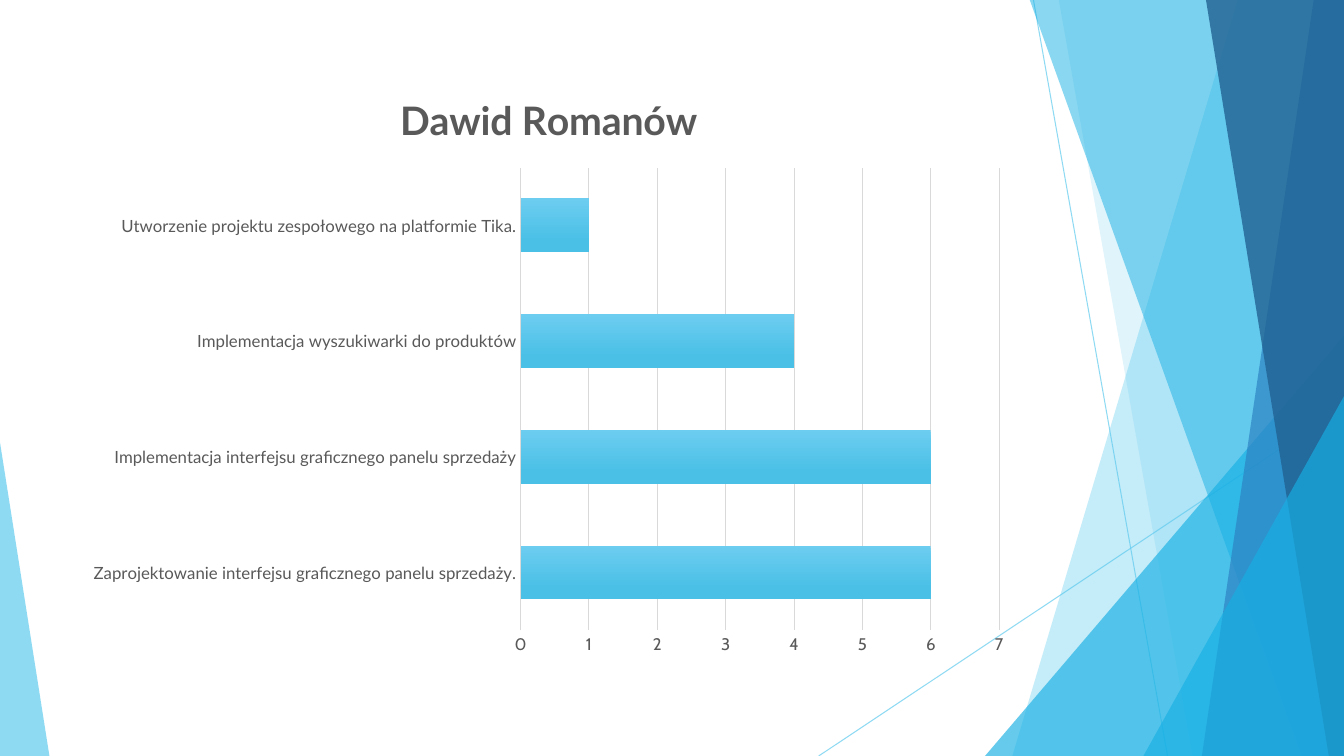
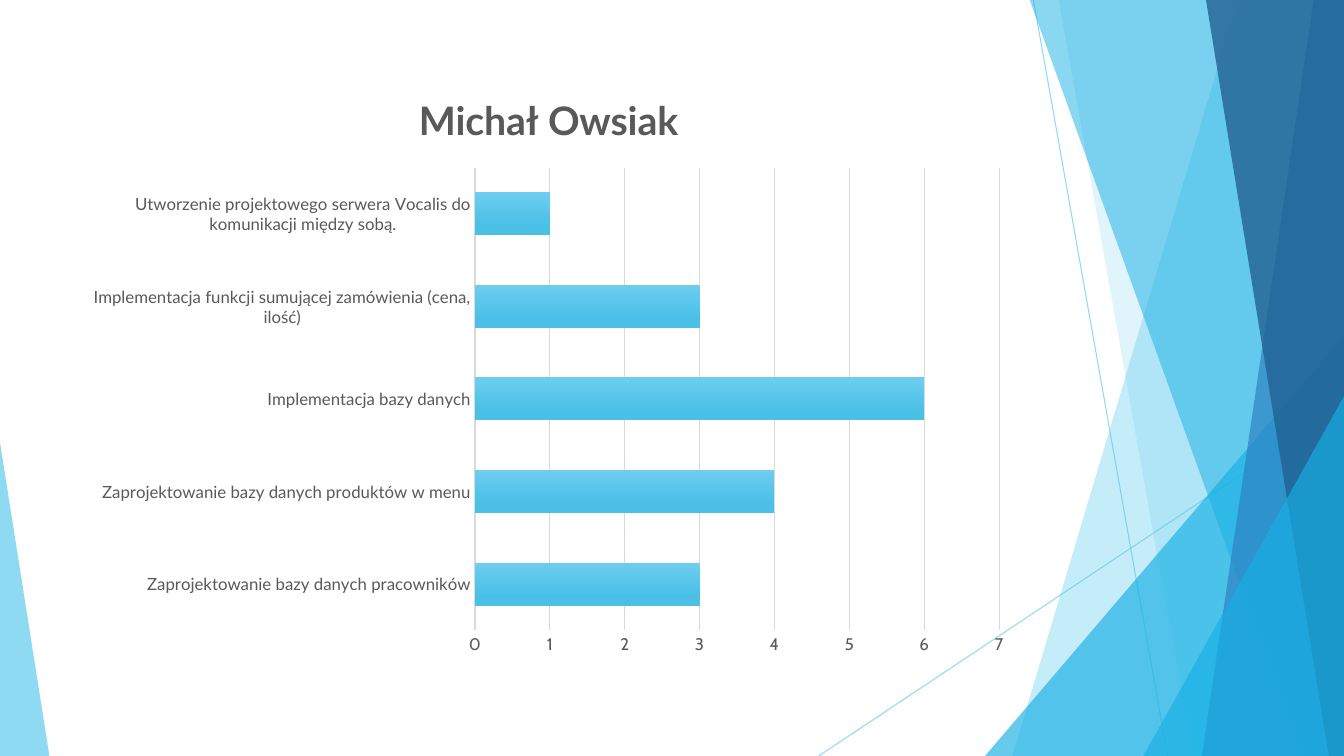
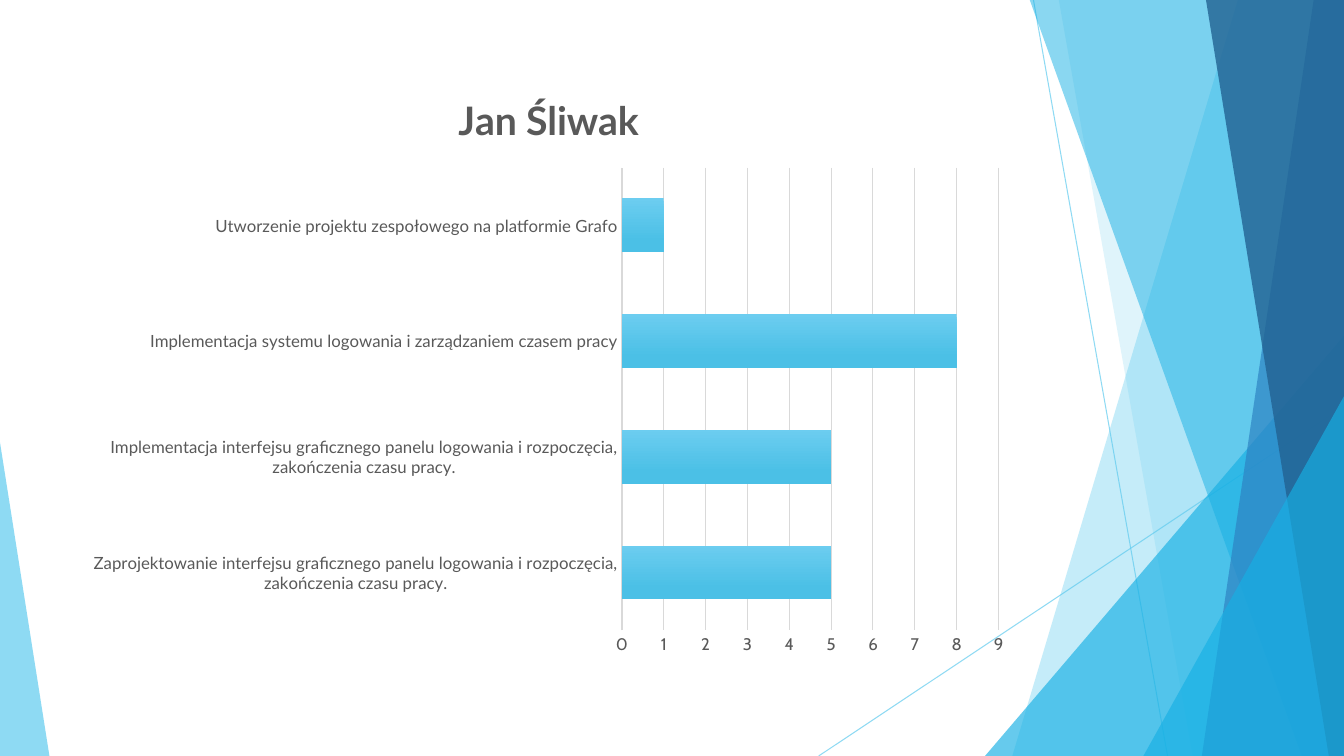
from dataclasses import dataclass

from pptx import Presentation
from pptx.chart.data import CategoryChartData
from pptx.dml.color import RGBColor
from pptx.enum.chart import XL_CHART_TYPE, XL_TICK_MARK
from pptx.enum.shapes import MSO_CONNECTOR, MSO_SHAPE
from pptx.oxml.ns import qn
from pptx.oxml.xmlchemy import OxmlElement
from pptx.util import Inches, Pt


@dataclass(frozen=True)
class Theme:
    width: float = 13.33
    height: float = 7.5
    sky: str = "5FCBEF"
    cyan: str = "17B0E4"
    blue: str = "2E83C3"
    navy: str = "226292"
    text: str = "595959"
    grid: str = "D9D9D9"
    bar_top: str = "6CCDF0"
    bar_bottom: str = "4BC0E6"
    heading_font: str = "Lato"
    number_font: str = "Cabin"
    heading_size: int = 28
    label_size: int = 12
    base_size: int = 10
    thin: float = 0.75


class Deck:
    def __init__(self, theme):
        self.theme = theme
        self.presentation = Presentation()
        self.presentation.slide_width = Inches(theme.width)
        self.presentation.slide_height = Inches(theme.height)
        self.layout = self.presentation.slide_layouts[6]
        self.slide = None

    def new_slide(self):
        self.slide = self.presentation.slides.add_slide(self.layout)

    def set_opacity(self, shape, percent):
        alpha = OxmlElement("a:alpha")
        alpha.set("val", str(percent * 1000))
        shape.element.spPr.find(".//" + qn("a:srgbClr")).append(alpha)

    def paint(self, shape, color, opacity):
        shape.shadow.inherit = False
        shape.fill.solid()
        shape.fill.fore_color.rgb = RGBColor.from_string(color)
        shape.line.fill.background()
        self.set_opacity(shape, opacity)

    def ray(self, x1, y1, x2, y2):
        ray = self.slide.shapes.add_connector(
            MSO_CONNECTOR.STRAIGHT, Inches(x1), Inches(y1), Inches(x2), Inches(y2))
        ray.line.color.rgb = RGBColor.from_string(self.theme.sky)
        ray.line.width = Pt(self.theme.thin)
        self.set_opacity(ray, 70)
        ray.element.spPr.append(OxmlElement("a:effectLst"))

    def facet(self, top_x, bottom_x, color, opacity):
        right, bottom, top = self.theme.width, self.theme.height, -0.01
        corners = [(right, top), (right, bottom), (bottom_x, bottom)]
        outline = self.slide.shapes.build_freeform(Inches(top_x), Inches(top), scale=1.0)
        outline.add_line_segments([(Inches(x), Inches(y)) for x, y in corners], close=True)
        self.paint(outline.convert_to_shape(), color, opacity)

    def corner(self, left, top, width, apex, color, opacity):
        corner = self.slide.shapes.add_shape(
            MSO_SHAPE.ISOSCELES_TRIANGLE, Inches(left), Inches(top),
            Inches(width), Inches(self.theme.height - top))
        corner.adjustments[0] = apex
        self.paint(corner, color, opacity)

    def draw_backdrop(self):
        theme = self.theme
        self.ray(10.25, 0, 11.58, theme.height)
        self.ray(theme.width, 4.03, 8.12, theme.height)
        self.facet(12.28, 10.04, theme.sky, 36)
        self.facet(10.5, 11.83, theme.sky, 20)
        self.corner(9.77, 3.33, 3.56, 1, theme.cyan, 66)
        self.facet(10.21, 12.91, theme.cyan, 50)
        self.facet(13.03, 11.92, theme.blue, 70)
        self.facet(11.96, 13.18, theme.navy, 80)
        self.corner(11.34, 3.93, 1.99, 1, theme.cyan, 66)
        self.corner(0, 4.39, 0.49, 0, theme.sky, 70)

    def share_backdrop(self):
        for placeholder in list(self.layout.placeholders):
            self.layout.shapes.element.remove(placeholder.element)
        for shape in list(self.slide.shapes):
            self.layout.shapes.element.append(shape.element)

    def style_font(self, font, name, size, bold=False):
        font.name = name
        font.size = Pt(size)
        font.bold = bold
        font.color.rgb = RGBColor.from_string(self.theme.text)

    def style_axis(self, axis, font_name):
        axis.major_tick_mark = XL_TICK_MARK.NONE
        axis.minor_tick_mark = XL_TICK_MARK.NONE
        self.style_font(axis.tick_labels.font, font_name, self.theme.label_size)

    def style_line(self, line, width):
        line.color.rgb = RGBColor.from_string(self.theme.grid)
        line.width = Pt(width)

    def task_chart(self, person, tasks):
        theme = self.theme
        data = CategoryChartData()
        data.categories = list(tasks)
        data.add_series(person, list(tasks.values()))
        chart = self.slide.shapes.add_chart(
            XL_CHART_TYPE.BAR_CLUSTERED, Inches(0.74), Inches(0.67),
            Inches(9.4), Inches(5.94), data).chart
        chart.has_legend = False
        chart.font.name = theme.number_font
        chart.font.size = Pt(theme.base_size)

        heading = chart.chart_title.text_frame
        heading.text = person
        self.style_font(heading.paragraphs[0].runs[0].font,
                        theme.heading_font, theme.heading_size, bold=True)

        self.style_axis(chart.category_axis, theme.heading_font)
        self.style_line(chart.category_axis.format.line, 1)
        hours = chart.value_axis
        self.style_axis(hours, theme.number_font)
        hours.format.line.fill.background()
        hours.minimum_scale = 0
        hours.maximum_scale = max(tasks.values()) + 1
        hours.major_unit = 1
        self.style_line(hours.major_gridlines.format.line, theme.thin)

        bars = chart.plots[0]
        bars.vary_by_categories = False
        bars.gap_width = 115
        bars.overlap = -20
        fill = bars.series[0].format.fill
        fill.gradient()
        fill.gradient_angle = 270
        stops = zip(fill.gradient_stops, (0, 0.78), (theme.bar_top, theme.bar_bottom))
        for stop, position, color in stops:
            stop.position = position
            stop.color.rgb = RGBColor.from_string(color)


TEAM = {
    "Dawid Romanów": {
        "Zaprojektowanie interfejsu graficznego panelu sprzedaży.": 6,
        "Implementacja interfejsu graficznego panelu sprzedaży": 6,
        "Implementacja wyszukiwarki do produktów": 4,
        "Utworzenie projektu zespołowego na platformie Tika.": 1,
    },
    "Michał Owsiak": {
        "Zaprojektowanie bazy danych pracowników": 3,
        "Zaprojektowanie bazy danych produktów w menu": 4,
        "Implementacja bazy danych": 6,
        "Implementacja funkcji sumującej zamówienia (cena, ilość)": 3,
        "Utworzenie projektowego serwera Vocalis do komunikacji między sobą.": 1,
    },
    "Jan Śliwak": {
        "Zaprojektowanie interfejsu graficznego panelu logowania i rozpoczęcia, "
        "zakończenia czasu pracy.": 5,
        "Implementacja interfejsu graficznego panelu logowania i rozpoczęcia, "
        "zakończenia czasu pracy.": 5,
        "Implementacja systemu logowania i zarządzaniem czasem pracy": 8,
        "Utworzenie projektu zespołowego na platformie Grafo": 1,
    },
}


def main():
    deck = Deck(Theme())
    for number, (person, tasks) in enumerate(TEAM.items()):
        deck.new_slide()
        if number == 0:
            deck.draw_backdrop()
            deck.share_backdrop()
        deck.task_chart(person, tasks)
    deck.presentation.save("out.pptx")


if __name__ == "__main__":
    main()
